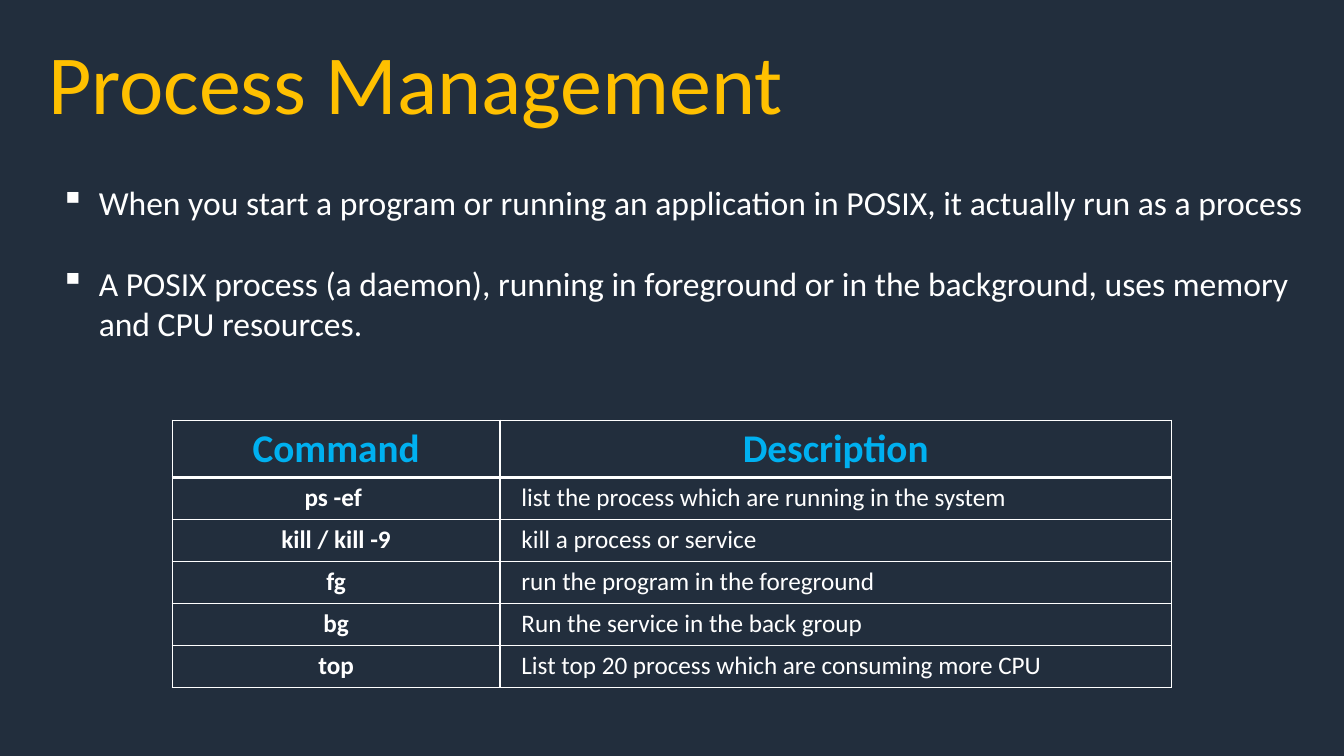
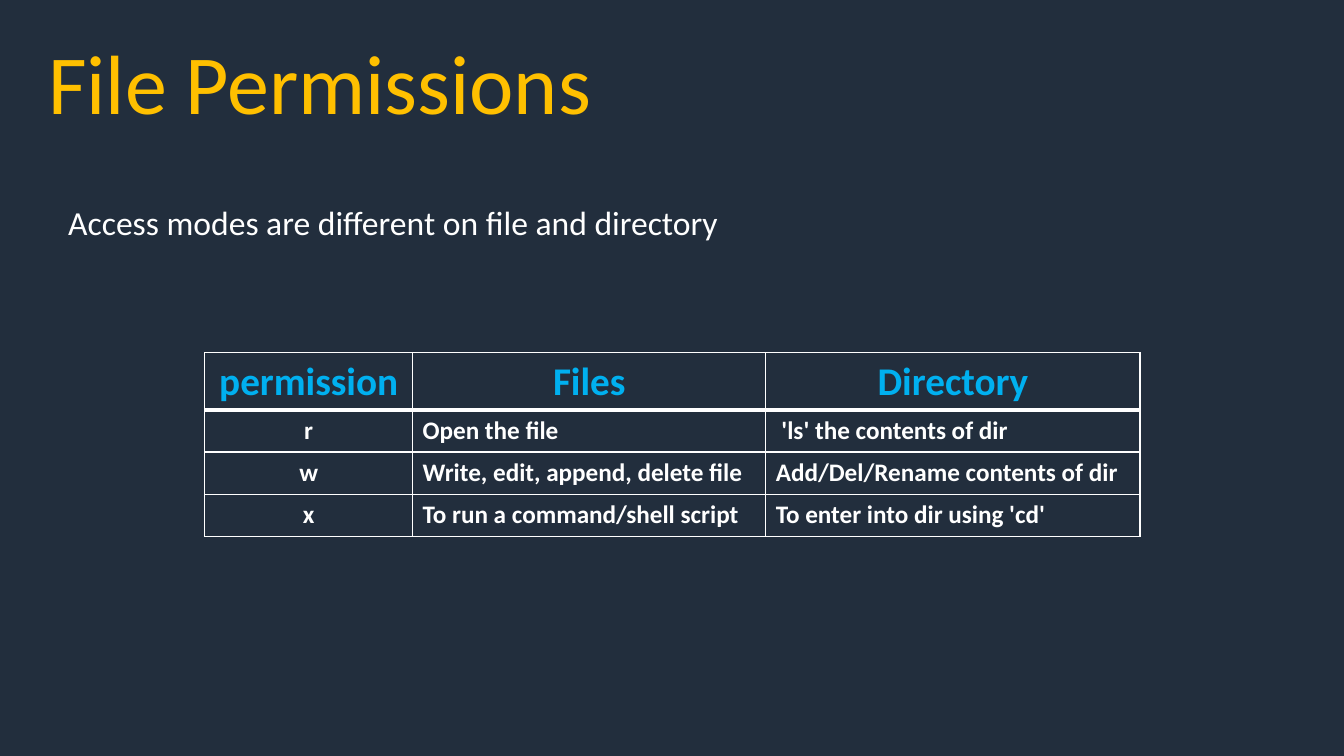
from dataclasses import dataclass

from lxml import etree
from pptx import Presentation
from pptx.dml.color import RGBColor
from pptx.enum import text
from pptx.oxml import ns
from pptx.util import Cm, Pt


@dataclass(frozen=True)
class Theme:
    font: str = "Calibri"
    back: RGBColor = RGBColor(0x22, 0x2E, 0x3D)
    title: RGBColor = RGBColor(0xFF, 0xC0, 0x00)
    head: RGBColor = RGBColor(0x00, 0xB0, 0xF0)
    body: RGBColor = RGBColor(0xFF, 0xFF, 0xFF)
    title_size: int = 60
    head_size: int = 28
    body_size: int = 24
    cell_size: int = 18
    line: int = 1
    head_line: int = 3


theme = Theme()


def add_run(p, words, size, color, bold=False):
    r = p.add_run()
    r.text = words
    r.font.name = theme.font
    r.font.size = Pt(size)
    r.font.bold = bold
    r.font.color.rgb = color


def set_borders(cell, widths):
    tc_pr = cell._tc.get_or_add_tcPr()
    for i, (side, width) in enumerate(widths.items()):
        ln = etree.Element(ns.qn(f"a:ln{side}"), w=str(Pt(width)))
        fill = etree.SubElement(ln, ns.qn("a:solidFill"))
        etree.SubElement(fill, ns.qn("a:srgbClr"), val=str(theme.body))
        tc_pr.insert(i, ln)


slides = [
    {
        "title": "Process Management",
        "body": [
            "When you start a program or running an application in POSIX, it actually run as a process",
            "A POSIX process (a daemon), running in foreground or in the background, uses memory and CPU resources.",
        ],
        "bullets": True,
        "spacing": 1,
        "body_height": 4.37,
        "table_at": (4.34, 10.59),
        "columns": (8.26, 16.92),
        "bold_columns": 1,
        "indent": 0.54,
        "rows": [
            ("Command", "Description"),
            ("ps -ef ", "list the process which are running in the system"),
            ("kill / kill -9", "kill a process or service"),
            ("fg", "run the program in the foreground"),
            ("bg", "Run the service in the back group"),
            ("top", "List top 20 process which are consuming more CPU"),
        ],
    },
    {
        "title": "File Permissions",
        "body": ["Access modes are different on file and directory"],
        "bullets": False,
        "spacing": 1.5,
        "body_height": 1.8,
        "table_at": (5.16, 8.89),
        "columns": (5.24, 8.9, 9.43),
        "bold_columns": 3,
        "indent": 0.25,
        "rows": [
            ("permission", "Files", "Directory"),
            ("r", "Open the file", " 'ls' the contents of dir"),
            ("w", "Write, edit, append, delete file", "Add/Del/Rename contents of dir"),
            ("x", "To run a command/shell script", "To enter into dir using 'cd'"),
        ],
    },
]

head_height, row_height = 1.44, 1.06
bullet_indent = Cm(0.97)

prs = Presentation()
prs.slide_width, prs.slide_height = Cm(33.87), Cm(19.05)
background = prs.slide_master.background.fill
background.solid()
background.fore_color.rgb = theme.back

for data in slides:
    s = prs.slides.add_slide(prs.slide_layouts[5])

    title = s.shapes.title
    title.left, title.top = Cm(0), Cm(0.64)
    title.width, title.height = prs.slide_width, Cm(2.82)
    tf = title.text_frame
    tf.auto_size = text.MSO_AUTO_SIZE.NONE
    tf.vertical_anchor = text.MSO_ANCHOR.TOP
    tf.margin_left = Cm(1.21)
    p = tf.paragraphs[0]
    p.alignment = text.PP_ALIGN.LEFT
    add_run(p, data["title"], theme.title_size, theme.title)

    sp = s.shapes.add_textbox(Cm(1.27), Cm(4.45), Cm(32.2), Cm(data["body_height"]))
    tf = sp.text_frame
    tf.word_wrap = True
    if not data["bullets"]:
        tf.margin_left = Cm(0.45)
    for i, words in enumerate(data["body"]):
        p = tf.add_paragraph() if i else tf.paragraphs[0]
        p.line_spacing = data["spacing"]
        if i:
            p.space_before = Pt(29)
        if data["bullets"]:
            p_pr = p._p.get_or_add_pPr()
            p_pr.set("marL", str(bullet_indent))
            p_pr.set("indent", str(-bullet_indent))
            etree.SubElement(p_pr, ns.qn("a:buChar"), char="▪")
        add_run(p, words, theme.body_size, theme.body)

    rows, columns = data["rows"], data["columns"]
    left, top = data["table_at"]
    height = head_height + row_height * (len(rows) - 1)
    table = s.shapes.add_table(
        len(rows), len(columns), Cm(left), Cm(top), Cm(sum(columns)), Cm(height)
    ).table
    table.first_row = table.horz_banding = False
    for column, width in zip(table.columns, columns):
        column.width = Cm(width)
    for i, row in enumerate(rows):
        head = i == 0
        table.rows[i].height = Cm(head_height if head else row_height)
        for j, words in enumerate(row):
            cell = table.cell(i, j)
            cell.fill.background()
            set_borders(cell, {
                "L": theme.line,
                "R": theme.line,
                "T": theme.head_line if i == 1 else theme.line,
                "B": theme.head_line if head else theme.line,
            })
            p = cell.text_frame.paragraphs[0]
            if head or j == 0:
                p.alignment = text.PP_ALIGN.CENTER
            else:
                cell.margin_left = Cm(data["indent"])
            size = theme.head_size if head else theme.cell_size
            color = theme.head if head else theme.body
            add_run(p, words, size, color, head or j < data["bold_columns"])

prs.save("out.pptx")
